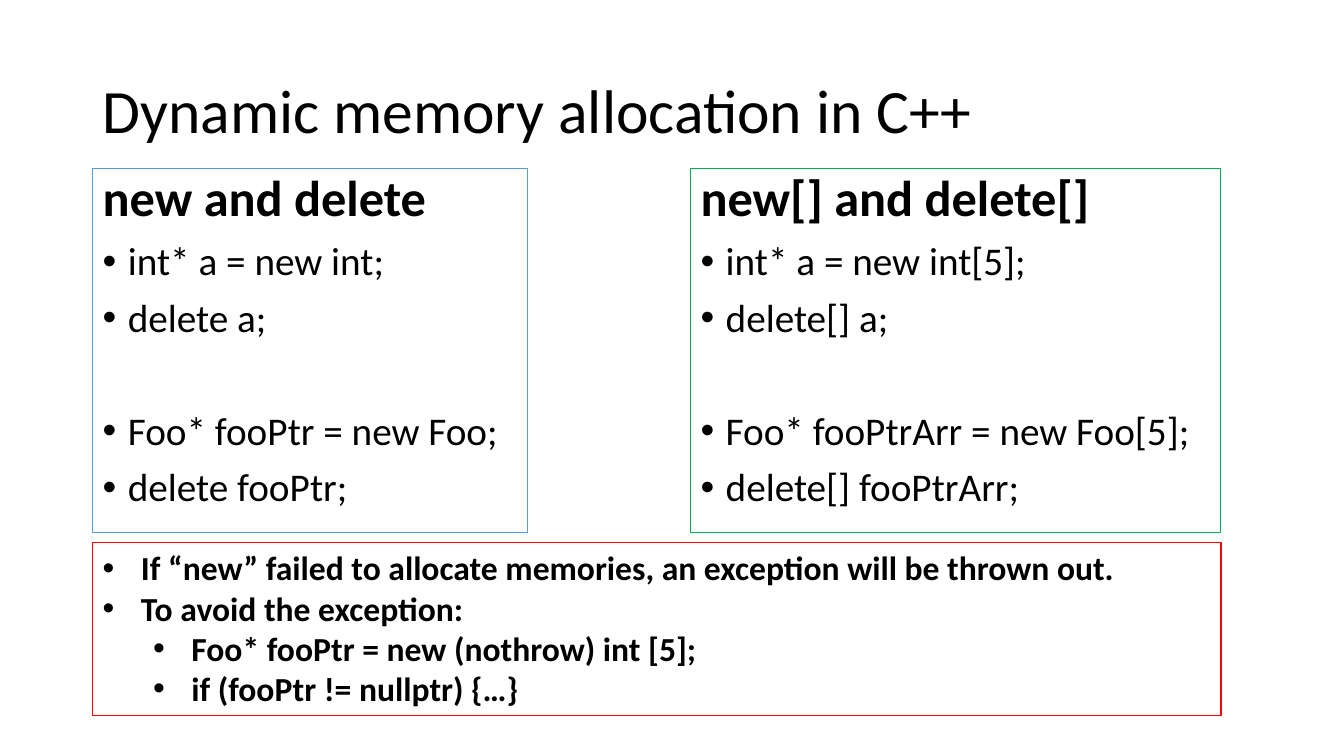
from lxml.etree import SubElement as Sub
from pptx import Presentation
from pptx.dml.color import RGBColor
from pptx.enum.text import MSO_ANCHOR as Anchor
from pptx.oxml.ns import qn
from pptx.util import Inches, Pt

BLACK = RGBColor(0x00, 0x00, 0x00)
BLUE = RGBColor(0x5B, 0x9B, 0xD5)
GREEN = RGBColor(0x00, 0xB0, 0x50)
RED = RGBColor(0xFF, 0x00, 0x00)

HEAD = {"size": Pt(36), "bold": True}
CODE = {"size": Pt(28), "bold": False}
NOTE = {"size": Pt(24), "bold": True}
TIGHT = {"line_spacing": 0.9, "space_before": Pt(10)}
APART = {"line_spacing": 0.9, "space_before": Pt(50.8)}

deck = Presentation()
deck.slide_width, deck.slide_height = Inches(13.33), Inches(7.5)
slide = deck.slides.add_slide(deck.slide_layouts[6])


def add_box(left, top, width, height, color=None):
    box = slide.shapes.add_textbox(Inches(left), Inches(top), Inches(width), Inches(height))
    box.text_frame.word_wrap = True
    if color is not None:
        box.line.color.rgb = color
        box.line.width = Pt(0.75)
    return box.text_frame


def add_text(frame, text, style, space, margin=0, hang=0):
    para = frame.paragraphs[0]
    if para.runs:
        para = frame.add_paragraph()
    for name, value in space.items():
        setattr(para, name, value)
    run = para.add_run()
    run.text = text
    for name, value in style.items():
        setattr(run.font, name, value)
    run.font.name = "Calibri"
    run.font.color.rgb = BLACK
    if hang:
        props = para._p.get_or_add_pPr()
        props.set("marL", str(Inches(margin)))
        props.set("indent", str(-Inches(hang)))
        Sub(props, qn("a:buFont"), typeface="Arial")
        Sub(props, qn("a:buChar"), char="•")


title = add_box(0.92, 0.4, 11.5, 1.45)
title.vertical_anchor = Anchor.MIDDLE
add_text(title, "Dynamic memory allocation in C++", {"size": Pt(44)}, {"line_spacing": 0.9})

panels = [
    (0.92, 4.31, BLUE, "new and delete",
     ["int* a = new int;", "delete a;", "Foo* fooPtr = new Foo;", "delete fooPtr;"]),
    (6.85, 5.26, GREEN, "new[] and delete[]",
     ["int* a = new int[5];", "delete[] a;", "Foo* fooPtrArr = new Foo[5];", "delete[] fooPtrArr;"]),
]
for left, width, color, head, lines in panels:
    panel = add_box(left, 1.67, width, 3.61, color)
    add_text(panel, head, HEAD, TIGHT)
    for row, line in enumerate(lines):
        add_text(panel, line, CODE, APART if row == 2 else TIGHT, 0.25, 0.25)

notes = [
    (0, "If “new” failed to allocate memories, an exception will be thrown out."),
    (0, "To avoid the exception:"),
    (1, "Foo* fooPtr = new (nothrow) int [5];"),
    (1, "if (fooPtr != nullptr) {…}"),
]
panel = add_box(0.92, 5.38, 11.19, 1.72, RED)
for level, note in notes:
    add_text(panel, note, NOTE, {"level": level}, 0.38 + 0.5 * level, 0.38)

deck.save("out.pptx")
